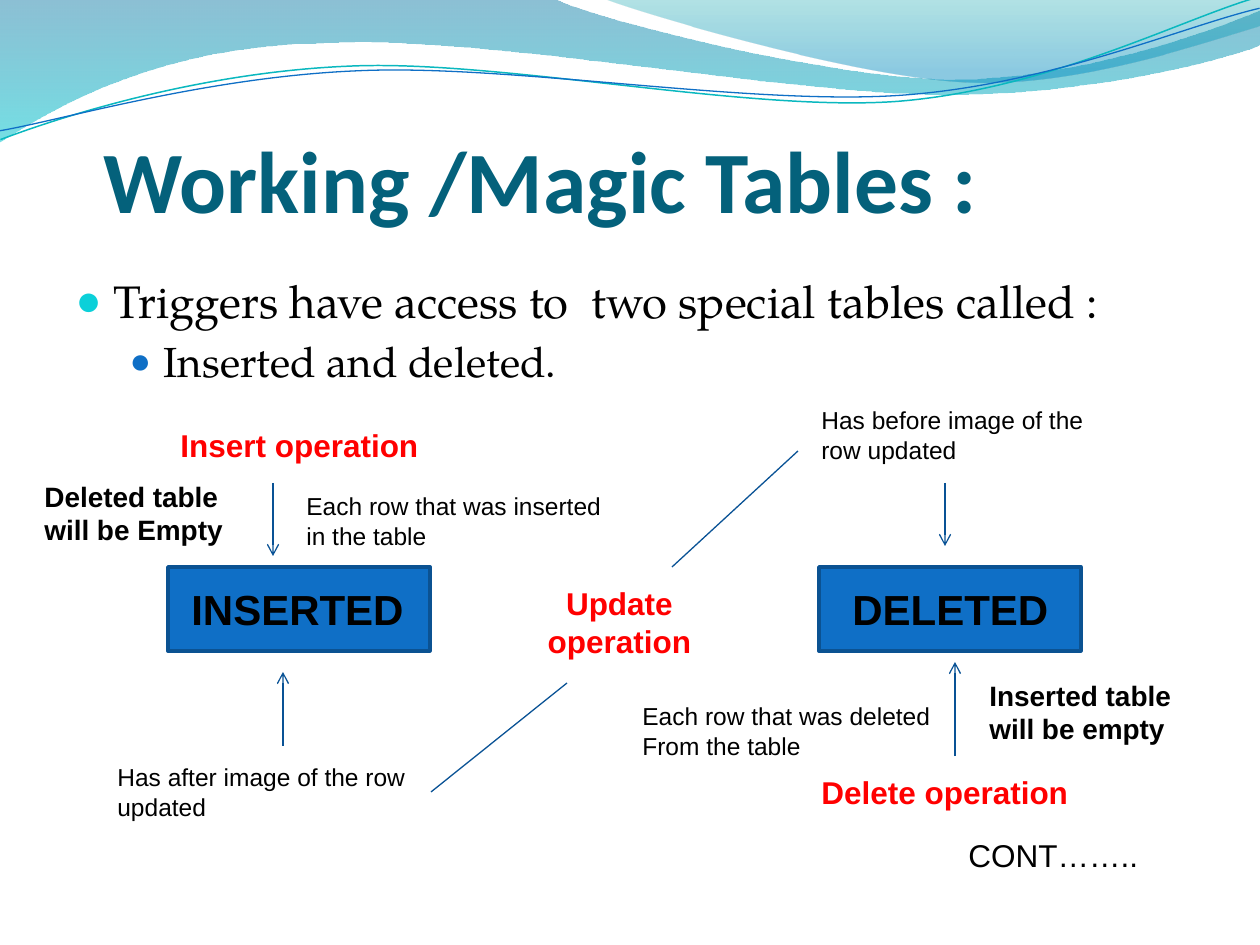
"""Build the slide on the inserted and deleted trigger tables."""
from lxml import etree
from pptx import Presentation
from pptx.dml.color import RGBColor
from pptx.enum.shapes import MSO_CONNECTOR, MSO_SHAPE
from pptx.enum.text import MSO_ANCHOR, MSO_AUTO_SIZE, PP_ALIGN
from pptx.oxml.ns import qn
from pptx.util import Pt

PX = 914400 / 126
RECT, LINE = MSO_SHAPE.RECTANGLE, MSO_CONNECTOR.STRAIGHT
LEFT, MID = PP_ALIGN.LEFT, PP_ALIGN.CENTER
BOTTOM, TOP = MSO_ANCHOR.BOTTOM, MSO_ANCHOR.TOP
FIXED = MSO_AUTO_SIZE.NONE

BLACK = RGBColor(0, 0, 0)
RED = RGBColor(0xFF, 0, 0)
BLUE = RGBColor(0x0F, 0x6F, 0xC6)
NAVY = RGBColor(0x0B, 0x52, 0x92)
INK = RGBColor(0x09, 0x52, 0x95)
AQUA = RGBColor(0x0B, 0xD0, 0xD9)
TEAL = RGBColor(0x04, 0x61, 0x7B)
SEA = RGBColor(0x0A, 0xB8, 0xBF)
DEEP, CYAN = RGBColor(0, 0x74, 0xA1), RGBColor(0, 0xC6, 0xCF)
JADE, SKY = RGBColor(0, 0xA1, 0xA9), RGBColor(0, 0x8B, 0xBF)


def style(size, bold=False, color=BLACK, name="Arial"):
    return {"size": Pt(size), "bold": bold, "color": color, "name": name}


HEAD = style(50, True, TEAL, "Calibri")
ACT, TABLE, NOTE = style(18, True, RED), style(24, True), style(14)
STATE, NEXT = style(16, True), style(18)

TITLE = "Working /Magic Tables :"
POINTS = [
    ("Triggers have access to  two special tables called :", 26, 0, 38, 38, AQUA, 95),
    ("Inserted and deleted.", 24, 4.5, 88, 34, BLUE, 85),
]
BANDS = [
    ([(0, 0), (554, -1),
      (600, 21, 837, 79, 955, 79), (1075, 79, 1207, 33, 1260, 11), (1261, 45),
      (1239, 55, 1096, 96, 940, 94), (784, 94, 481, 35, 324, 43),
      (163, 45, 58, 105, -1, 142), (0, 0)],
     [(0, DEEP, 45), (1, CYAN, 55)]),
    ([(604, -1), (641, 14, 859, 78, 969, 82), (1079, 87, 1211, 40, 1260, 26),
      (1260, 0), (604, -1)],
     [(0, JADE, 30), (0.8, SKY, 45)]),
]
TILT = 357.3
WAVES = [
    ([(-2, 110), (59, 90, 200, 52, 350, 53), (499, 53, 745, 118, 896, 114),
      (1048, 109, 1184, 45, 1260, 27)], SEA, 0.85),
    ([(-2, 101), (57, 94, 207, 57, 358, 58), (509, 58, 750, 112, 902, 108),
      (1052, 104, 1186, 52, 1262, 38)], BLUE, 0.75),
]
BOXES = [(168, 567, 262, 84), (819, 567, 262, 84)]
LABELS = [
    ("Insert operation", (168, 420, 284, 50), ACT, LEFT),
    ("Delete operation", (809, 767, 284, 50), ACT, LEFT),
    ("Update operation", (525, 578, 189, 89), ACT, MID),
    ("INSERTED", (179, 577, 252, 63), TABLE, LEFT),
    ("DELETED", (840, 577, 252, 63), TABLE, LEFT),
    ("Each row that was inserted\nin the table", (294, 485, 325, 72), NOTE, LEFT),
    ("Each row that was deleted\nFrom the table", (630, 695, 325, 72), NOTE, LEFT),
    ("Has after image of the row updated", (105, 756, 325, 72), NOTE, LEFT),
    ("Has before image of the row updated", (809, 399, 325, 72), NOTE, LEFT),
    ("CONT……..", (956, 830, 231, 50), NEXT, LEFT),
    ("Deleted table will be Empty", (32, 473, 220, 81), STATE, LEFT),
    ("Inserted table will be empty", (977, 672, 220, 81), STATE, LEFT),
]
LINKS = [
    ((273, 483, 273, 556), True),
    ((955, 756, 955, 662), True),
    ((567, 683, 431, 792), False),
    ((283, 746, 283, 672), True),
    ((672, 567, 798, 451), False),
    ((945, 483, 945, 546), True),
]


def emu(nums):
    return [round(n * PX) for n in nums]


def place(shape, box):
    for key, val in zip(("left", "top", "width", "height"), emu(box)):
        setattr(shape, key, val)


def paint(para, look):
    for run in para.runs:
        for key, val in look.items():
            if key == "color":
                run.font.color.rgb = val
            else:
                setattr(run.font, key, val)


def outline(shapes, path, close):
    dots = [part[i:i + 2] for part in path for i in range(0, len(part), 2)]
    pen = shapes.build_freeform(*emu(dots[0]))
    pen.add_line_segments([emu(dot) for dot in dots[1:]], close=close)
    shape = pen.convert_to_shape()
    shape.shadow.inherit = False
    legs = iter(list(shape._element.iter(qn("a:lnTo"))))
    for part in path[1:]:
        leg = next(legs)
        if len(part) == 6:
            curve = etree.Element(qn("a:cubicBezTo"))
            leg.addprevious(curve)
            for step in (leg, next(legs), next(legs)):
                curve.append(step[0])
                step.getparent().remove(step)
    return shape


def add_band(shapes, path, stops):
    shape = outline(shapes, path, True)
    shape.line.fill.background()
    shape.fill.gradient()
    shape.fill.gradient_angle = 270
    for stop, (pos, color, _) in zip(shape.fill.gradient_stops, stops):
        stop.position = pos
        stop.color.rgb = color
    tints = shape._element.spPr.iter(qn("a:srgbClr"))
    for tint, (_, _, alpha) in zip(tints, stops):
        etree.SubElement(tint, qn("a:alpha"), val=str(alpha * 1000))


def add_wave(shapes, path, color, width):
    shape = outline(shapes, path, False)
    shape.rotation = TILT
    shape.fill.background()
    shape.line.color.rgb = color
    shape.line.width = Pt(width)


def add_bullet(para, left, hang, color, size):
    props = para._p.get_or_add_pPr()
    props.set("marL", str(round(left * PX)))
    props.set("indent", str(round(-hang * PX)))
    tint = etree.SubElement(props, qn("a:buClr"))
    etree.SubElement(tint, qn("a:srgbClr"), val=str(color))
    etree.SubElement(props, qn("a:buSzPct"), val=str(size * 1000))
    etree.SubElement(props, qn("a:buFont"), typeface="Arial")
    etree.SubElement(props, qn("a:buChar"), char="●")


def add_link(shapes, ends, arrow):
    link = shapes.add_connector(LINE, *emu(ends))
    link.line.color.rgb = INK
    link.line.width = Pt(0.75)
    if arrow:
        etree.SubElement(link.line._get_or_add_ln(), qn("a:tailEnd"), type="arrow")
    etree.SubElement(link._element.spPr, qn("a:effectLst"))


def add_label(shapes, text, box, look, align):
    frame = shapes.add_textbox(*emu(box)).text_frame
    frame.word_wrap = True
    frame.text = text
    for para in frame.paragraphs:
        para.alignment = align
        paint(para, look)


def fill_head(shape):
    place(shape, (84, 74, 1134, 157))
    frame = shape.text_frame
    form = {"text": TITLE, "vertical_anchor": BOTTOM, "auto_size": FIXED,
            "margin_left": round(20 * PX), "margin_right": 0, "margin_bottom": 0}
    for key, val in form.items():
        setattr(frame, key, val)
    frame.paragraphs[0].alignment = LEFT
    paint(frame.paragraphs[0], HEAD)


def fill_body(shape):
    place(shape, (63, 267, 1134, 605))
    frame = shape.text_frame
    frame.auto_size, frame.vertical_anchor = FIXED, TOP
    frame.text = "\n".join(point[0] for point in POINTS)
    for level, (para, point) in enumerate(zip(frame.paragraphs, POINTS)):
        _, size, gap, *mark = point
        para.level = level
        para.space_before = Pt(gap)
        add_bullet(para, *mark)
        paint(para, style(size, name="TeX Gyre Pagella"))


def main():
    deck = Presentation()
    deck.slide_width, deck.slide_height = emu((1260, 945))
    slide = deck.slides.add_slide(deck.slide_layouts[1])
    shapes = slide.shapes
    head, body = slide.placeholders
    for band in BANDS:
        add_band(shapes, *band)
    for wave in WAVES:
        add_wave(shapes, *wave)
    for holder, fill in ((head, fill_head), (body, fill_body)):
        fill(holder)
        shapes._spTree.append(holder._element)
    for box in BOXES:
        rect = shapes.add_shape(RECT, *emu(box))
        rect.shadow.inherit = False
        rect.fill.solid()
        rect.fill.fore_color.rgb = BLUE
        rect.line.color.rgb = NAVY
        rect.line.width = Pt(2)
    for label in LABELS:
        add_label(shapes, *label)
    for link in LINKS:
        add_link(shapes, *link)
    deck.save("out.pptx")


if __name__ == "__main__":
    main()
